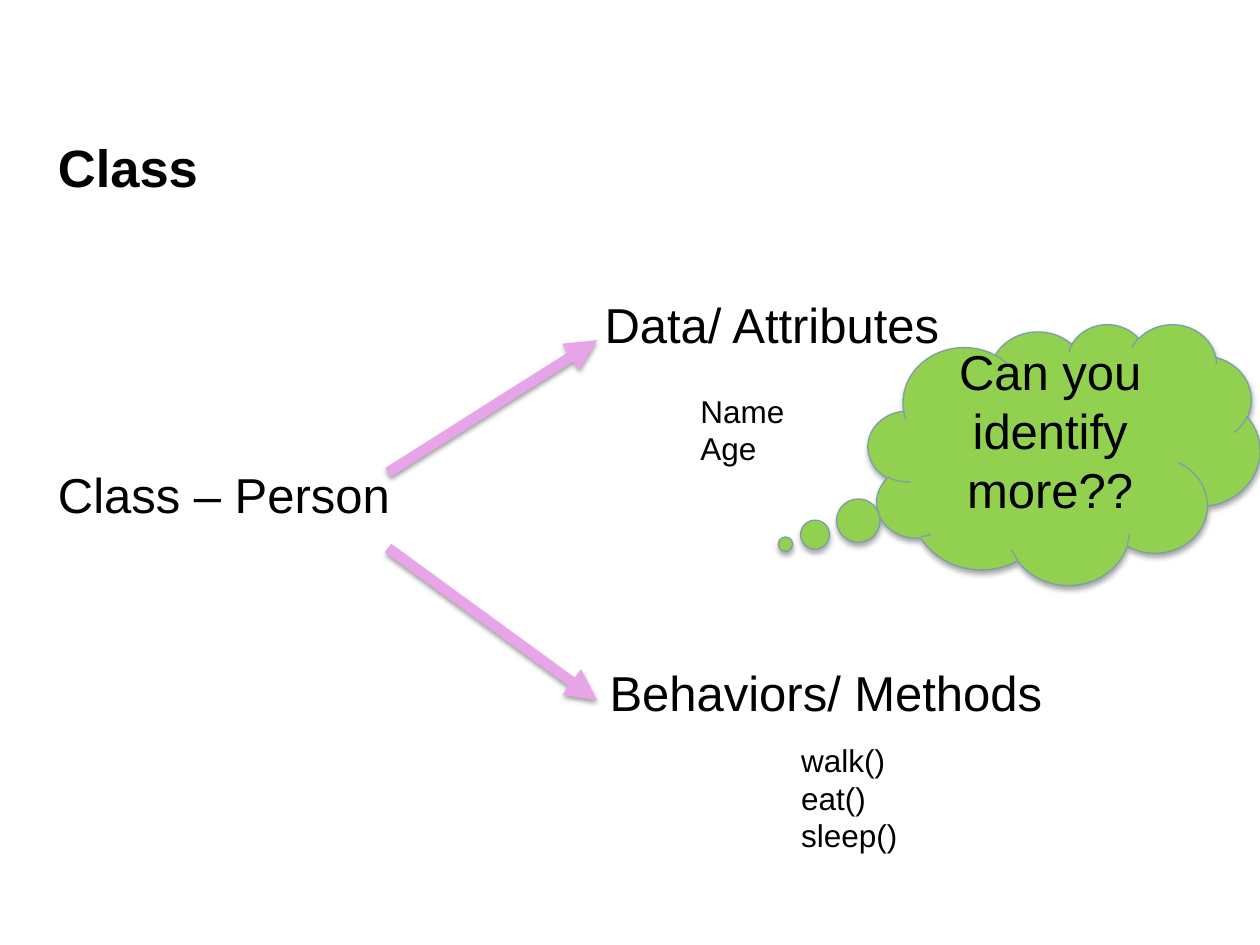
from lxml import etree
from pptx import Presentation
from pptx.dml.color import RGBColor
from pptx.enum.shapes import MSO_CONNECTOR as Connector, MSO_SHAPE as Shape
from pptx.enum.text import MSO_ANCHOR as Anchor, PP_ALIGN as Align
from pptx.oxml import parse_xml
from pptx.oxml.ns import nsdecls, qn
from pptx.util import Inches, Pt

COLORS = {"text": "000000", "arrow": "E8A4E8", "cloud": "92D050",
          "outline": "7B9EA9", "shadow": "000000"}
FONT = "Arial"


def color(name):
    return RGBColor.from_string(COLORS[name])


def place(shape, box):
    shape.left, shape.top, shape.width, shape.height = map(Inches, box)


def write(shape, text, size, bold=False, align=Align.LEFT):
    frame = shape.text_frame
    frame.word_wrap = True
    frame.text = text
    for para in frame.paragraphs:
        para.alignment = align
        for span in para.runs:
            span.font.name = FONT
            span.font.size = Pt(size)
            span.font.bold = bold
            span.font.color.rgb = color("text")
    return frame


def add_shadow(shape, opacity, distance):
    """Drop a soft shadow straight down; opacity in percent, distance in points."""
    shape._element.spPr.append(parse_xml(
        f'<a:effectLst {nsdecls("a")}>'
        f'<a:outerShdw blurRad="{Pt(3.1)}" dist="{Pt(distance)}" dir="5400000" rotWithShape="0">'
        f'<a:srgbClr val="{COLORS["shadow"]}"><a:alpha val="{opacity * 1000}"/></a:srgbClr>'
        '</a:outerShdw></a:effectLst>'))


def add_title(page, box):
    title = page.shapes.title
    place(title, box)
    frame = write(title, "Class", 30, bold=True)
    frame.vertical_anchor = Anchor.MIDDLE
    frame.paragraphs[0].line_spacing = 0.9


def add_class_name(page, box):
    body = page.placeholders[1]
    place(body, box)
    frame = write(body, "Class – Person", 28)
    frame.vertical_anchor = Anchor.TOP
    frame.margin_top = Inches(1.73)
    para = frame.paragraphs[0]
    para.space_before = Pt(0)
    properties = para._p.get_or_add_pPr()
    properties.set("marL", "0")
    properties.set("indent", "0")
    etree.SubElement(properties, qn("a:buNone"))


def add_arrow(page, start, end):
    arrow = page.shapes.add_connector(Connector.STRAIGHT, *map(Inches, start + end))
    arrow.line.color.rgb = color("arrow")
    arrow.line.width = Pt(6)
    etree.SubElement(arrow.line._get_or_add_ln(), qn("a:tailEnd"), type="triangle")
    add_shadow(arrow, 38, 1.6)


def add_member_group(page, box, heading, members, offset):
    """Place a heading in the box and its members at an offset from the box corner."""
    left, top, width, height = box
    right, down = offset
    members_box = (left + right, top + down, 1.94, 0.1 + 0.3 * len(members))
    for area, text, size in ((box, heading, 28), (members_box, "\n".join(members), 18)):
        write(page.shapes.add_textbox(*map(Inches, area)), text, size)


def add_question_cloud(page, box):
    cloud = page.shapes.add_shape(Shape.CLOUD_CALLOUT, *map(Inches, box))
    cloud.adjustments[0], cloud.adjustments[1] = -0.711, 0.345
    cloud.fill.solid()
    cloud.fill.fore_color.rgb = color("cloud")
    cloud.line.color.rgb = color("outline")
    cloud.line.width = Pt(0.75)
    add_shadow(cloud, 35, 1.8)
    frame = write(cloud, "Can you identify more??", 28, align=Align.CENTER)
    frame.vertical_anchor = Anchor.MIDDLE
    frame.margin_bottom = Inches(0.34)


def main():
    deck = Presentation()
    deck.slide_width, deck.slide_height = Inches(10), Inches(7.5)
    page = deck.slides.add_slide(deck.slide_layouts[1])
    add_title(page, (0.36, 0.99, 9.28, 0.72))
    add_class_name(page, (0.36, 1.96, 9.28, 4.78))
    add_arrow(page, (3.08, 3.75), (4.74, 2.7))
    add_arrow(page, (3.08, 4.35), (4.74, 5.56))
    add_member_group(page, (4.7, 2.29, 3.94, 0.57), "Data/ Attributes",
                     ["Name", "Age"], (0.76, 0.77))
    add_member_group(page, (4.74, 5.21, 3.94, 0.57), "Behaviors/ Methods",
                     ["walk()", "eat()", "sleep()"], (1.52, 0.62))
    add_question_cloud(page, (6.89, 2.57, 3.11, 2.07))
    deck.save("out.pptx")


if __name__ == "__main__":
    main()
